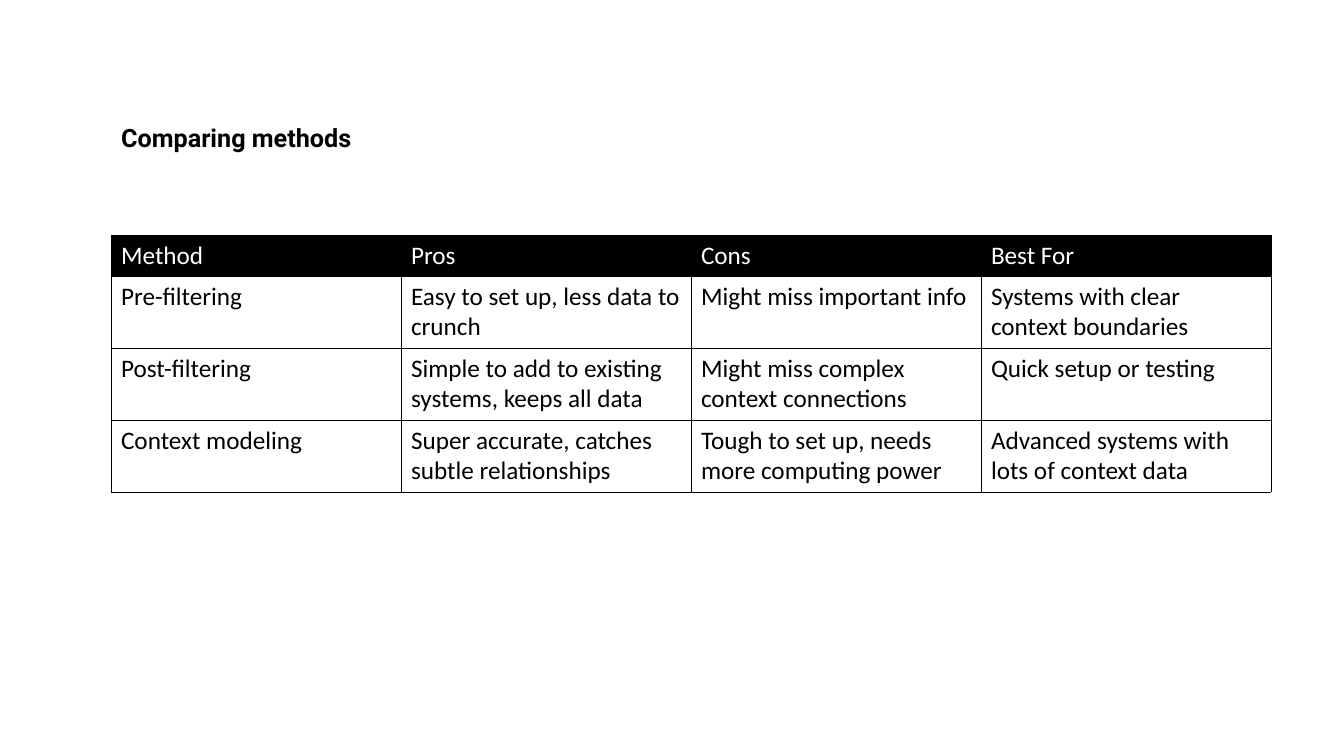
"""Build a slide with a table that compares context filtering methods."""
from lxml import etree
from pptx import Presentation
from pptx.dml.color import RGBColor
from pptx.enum.text import MSO_ANCHOR, MSO_AUTO_SIZE, PP_ALIGN
from pptx.oxml.ns import qn
from pptx.util import Emu, Pt

TOP = MSO_ANCHOR.TOP
BOTTOM = MSO_ANCHOR.BOTTOM
LEFT = PP_ALIGN.LEFT
NO_AUTOFIT = MSO_AUTO_SIZE.NONE
TITLE_ONLY = 5
EMU_PER_PX = 914400 / 100.8
BLACK = "000000"
WHITE = "FFFFFF"
BORDER_WIDTH = Pt(0.6)
COLUMN_WIDTH = 290
HEADER_HEIGHT = 41
ROW_HEIGHT = 72

METHODS = [
    ["Method", "Pros", "Cons", "Best For"],
    ["Pre-filtering", "Easy to set up, less data to crunch",
     "Might miss important info", "Systems with clear context boundaries"],
    ["Post-filtering", "Simple to add to existing systems, keeps all data",
     "Might miss complex context connections", "Quick setup or testing"],
    ["Context modeling", "Super accurate, catches subtle relationships",
     "Tough to set up, needs more computing power",
     "Advanced systems with lots of context data"],
]


def px(length):
    """Turn pixels into EMU."""
    return Emu(round(length * EMU_PER_PX))


def color(hex_string):
    """Turn a hex string into a colour."""
    return RGBColor.from_string(hex_string)


def write_text(text_frame, text, font="Calibri", size=18, fill=BLACK, bold=False):
    """Write one formatted paragraph."""
    paragraph = text_frame.paragraphs[0]
    paragraph.alignment = LEFT
    run = paragraph.add_run()
    run.text = text
    run.font.name = font
    run.font.size = Pt(size)
    run.font.bold = bold
    run.font.color.rgb = color(fill)


def add_borders(cell):
    """Draw a thin black line on all four sides of a cell."""
    properties = cell._tc.get_or_add_tcPr()
    for position, side in enumerate(("a:lnL", "a:lnR", "a:lnT", "a:lnB")):
        line = etree.Element(qn(side), w=str(BORDER_WIDTH))
        solid_fill = etree.SubElement(line, qn("a:solidFill"))
        etree.SubElement(solid_fill, qn("a:srgbClr"), val=BLACK)
        properties.insert(position, line)


def format_title(title, text, left, top, width, height):
    """Place the title placeholder and write its text."""
    title.left, title.top = px(left), px(top)
    title.width, title.height = px(width), px(height)
    text_frame = title.text_frame
    text_frame.word_wrap = True
    text_frame.auto_size = NO_AUTOFIT
    text_frame.vertical_anchor = TOP
    write_text(text_frame, text, font="Roboto", bold=True)


def add_method_table(slide, rows, left, top):
    """Add the table with a black header row."""
    column_count = len(rows[0])
    height = HEADER_HEIGHT + ROW_HEIGHT * (len(rows) - 1)
    table = slide.shapes.add_table(
        len(rows), column_count, px(left), px(top),
        px(COLUMN_WIDTH * column_count), px(height)).table
    table.horz_banding = False
    for column in table.columns:
        column.width = px(COLUMN_WIDTH)
    for row_index, texts in enumerate(rows):
        is_header = row_index == 0
        table.rows[row_index].height = px(HEADER_HEIGHT if is_header else ROW_HEIGHT)
        for column_index, text in enumerate(texts):
            cell = table.cell(row_index, column_index)
            cell.fill.solid()
            cell.fill.fore_color.rgb = color(BLACK if is_header else WHITE)
            cell.vertical_anchor = BOTTOM if is_header else TOP
            write_text(cell.text_frame, text, fill=WHITE if is_header else BLACK)
            add_borders(cell)


def main():
    """Build and save the presentation."""
    presentation = Presentation()
    presentation.slide_width, presentation.slide_height = px(1344), px(756)
    slide = presentation.slides.add_slide(presentation.slide_layouts[TITLE_ONLY])
    format_title(slide.shapes.title, "Comparing methods", 111, 117, 603, 72)
    add_method_table(slide, METHODS, 111, 235)
    presentation.save("out.pptx")


if __name__ == "__main__":
    main()
